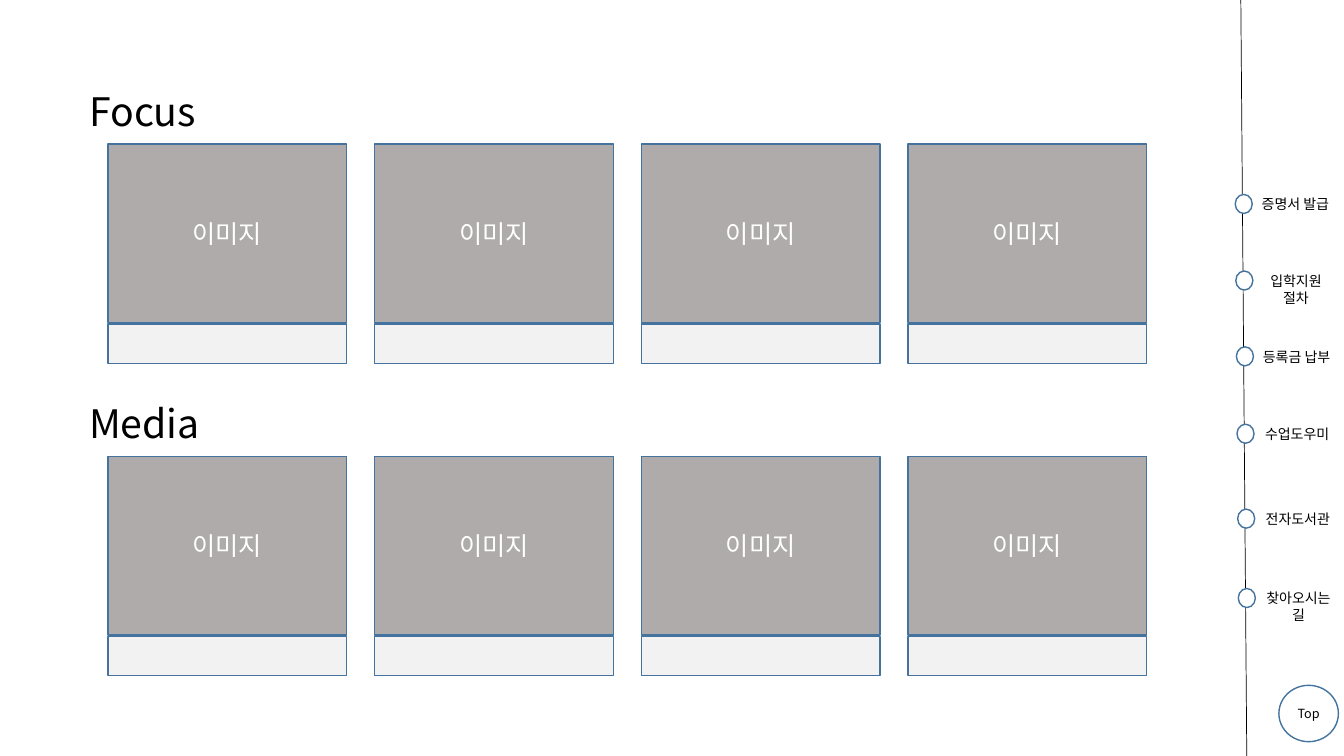
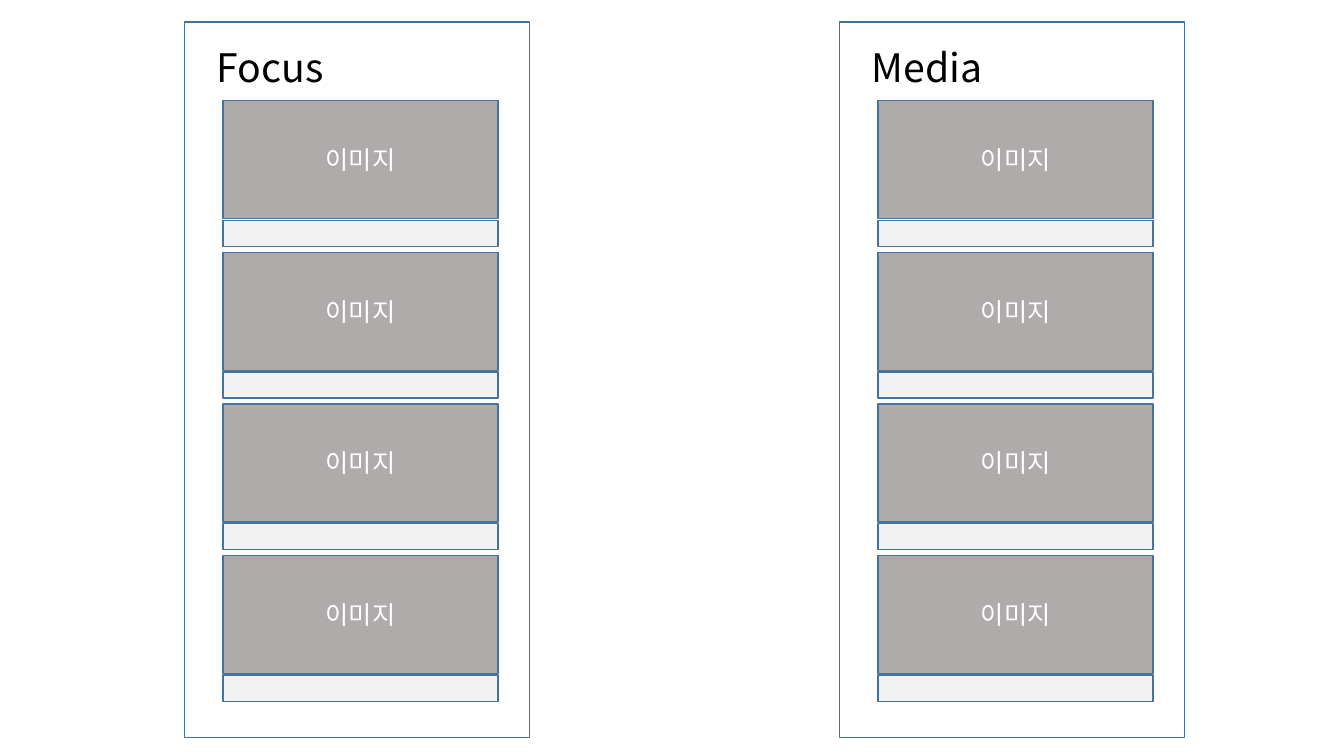
import pptx
import pptx.dml.color
import pptx.enum.shapes
import pptx.enum.text
import pptx.oxml
import pptx.oxml.ns
import pptx.util
import lxml.etree

Cm = pptx.util.Cm
Pt = pptx.util.Pt
SHAPE = pptx.enum.shapes.MSO_SHAPE
ALIGN = pptx.enum.text.PP_ALIGN
ANCHOR = pptx.enum.text.MSO_ANCHOR

# Shared style
FONT = "Noto Sans CJK KR"
COLORS = {"text": "000000", "light": "FFFFFF", "image": "AFABAB",
          "caption": "F2F2F2", "border": "43739E"}
HEADING = {"size": 28, "color": "text", "align": ALIGN.LEFT, "anchor": ANCHOR.TOP}
IMAGE_TEXT = {"size": 18, "color": "light"}
LABEL_TEXT = {"size": 10, "color": "text", "anchor": ANCHOR.TOP}
BUTTON_TEXT = {"size": 9, "color": "text", "margin": 0}
HEADING_HEIGHT = 1.45
CARD_COUNT = 4
CAPTION_GAP = 0.04
SECTIONS = ("Focus", "Media")
RAIL_ITEMS = (  # top of the marker, label lines
    (4.9, ["증명서 발급"]),
    (6.83, ["입학지원", "절차"]),
    (8.74, ["등록금 납부"]),
    (10.69, ["수업도우미"]),
    (12.83, ["전자도서관"]),
    (14.83, ["찾아오시는길"]),
)


def color(name):
    return pptx.dml.color.RGBColor.from_string(COLORS[name])


def write_text(shape, lines, size, color, align=ALIGN.CENTER,
               anchor=ANCHOR.MIDDLE, margin=0.25):
    """Put the lines in the shape, one paragraph each."""
    frame = shape.text_frame
    frame_format = {"word_wrap": True, "vertical_anchor": anchor,
                    "auto_size": pptx.enum.text.MSO_AUTO_SIZE.NONE,
                    "margin_left": Cm(margin), "margin_right": Cm(margin)}
    for name, value in frame_format.items():
        setattr(frame, name, value)
    frame.text = "\n".join(lines)
    for paragraph in frame.paragraphs:
        paragraph.alignment = align
        for run in paragraph.runs:
            font = run.font
            for name, value in {"name": FONT, "size": Pt(size)}.items():
                setattr(font, name, value)
            font.color.rgb = pptx.dml.color.RGBColor.from_string(COLORS[color])
            # Hangul takes the East Asian typeface
            east_asian = lxml.etree.SubElement(
                run.font._element, pptx.oxml.ns.qn("a:ea"))
            east_asian.set("typeface", FONT)


def add_box(slide, kind, left, top, width, height, fill="light"):
    shape = slide.shapes.add_shape(kind, Cm(left), Cm(top), Cm(width), Cm(height))
    shape.shadow.inherit = False
    shape.fill.solid()
    shape.fill.fore_color.rgb = color(fill)
    shape.line.color.rgb = color("border")
    shape.line.width = Pt(1)
    return shape


def add_heading(slide, text, left, top, width):
    """The first heading fills the title placeholder, later ones a text box."""
    box = {"left": Cm(left), "top": Cm(top),
           "width": Cm(width), "height": Cm(HEADING_HEIGHT)}
    heading = slide.shapes.title
    if heading.has_text_frame and heading.text_frame.text:
        heading = slide.shapes.add_textbox(*box.values())
    else:
        for name, value in box.items():
            setattr(heading, name, value)
        # Bring the title in front of its panel
        heading.element.getparent().append(heading.element)
    write_text(heading, [text], **HEADING)


def add_cards(slide, left, top, width, image_height, caption_height,
              step_x=0, step_y=0):
    """A row or column of image boxes with a caption strip below each."""
    for index in range(CARD_COUNT):
        card_left = left + index * step_x
        card_top = top + index * step_y
        image = add_box(slide, SHAPE.FLOWCHART_PROCESS, card_left, card_top,
                        width, image_height, "image")
        write_text(image, ["이미지"], **IMAGE_TEXT)
        add_box(slide, SHAPE.FLOWCHART_PROCESS, card_left,
                card_top + image_height + CAPTION_GAP,
                width, caption_height, "caption")


def add_row_section(slide, text, left, top):
    add_heading(slide, text, left, top, 8)
    add_cards(slide, left + 0.72, top + 1.57, 6.02, 4.5, 0.99, step_x=6.72)


def add_column_panel(slide, text, left, top):
    panel = add_box(slide, SHAPE.ROUNDED_RECTANGLE, left, top, 8.69, 18.03)
    panel.adjustments[0] = 0
    add_heading(slide, text, left + 0.56, top + 0.41, 7)
    add_cards(slide, left + 0.97, top + 1.98, 6.93, 2.97, 0.66, step_y=3.82)


def add_quick_rail(slide, left, height):
    """Slightly slanted line with menu markers and a button to the top."""
    slant = 0.15
    line = slide.shapes.add_connector(
        pptx.enum.shapes.MSO_CONNECTOR.STRAIGHT,
        Cm(left), Cm(0), Cm(left + slant), Cm(height))
    line.line.color.rgb = color("text")
    line.line.width = Pt(0.5)
    lxml.etree.SubElement(line.element.spPr, pptx.oxml.ns.qn("a:effectLst"))

    for top, lines in RAIL_ITEMS:
        marker_left = left + slant * top / height - 0.18
        add_box(slide, SHAPE.FLOWCHART_CONNECTOR, marker_left, top, 0.43, 0.48)
        label = slide.shapes.add_textbox(
            Cm(marker_left + 0.31), Cm(top - 0.09),
            Cm(2.41), Cm(0.26 + 0.43 * len(lines)))
        write_text(label, lines, **LABEL_TEXT)

    button = add_box(slide, SHAPE.FLOWCHART_CONNECTOR,
                     left + 0.96, height - 1.78, 1.5, 1.42)
    write_text(button, ["Top"], **BUTTON_TEXT)


def add_slide(presentation):
    return presentation.slides.add_slide(presentation.slide_layouts[5])


def main():
    presentation = pptx.Presentation()
    presentation.slide_width = Cm(33.87)
    presentation.slide_height = Cm(19.05)

    # Wide layout: sections as rows, quick menu on the right
    wide = add_slide(presentation)
    for index, text in enumerate(SECTIONS):
        add_row_section(wide, text, 2, 2.06 + index * 7.87)
    add_quick_rail(wide, 31.27, 19.05)

    # Narrow layout: sections as tall panels
    narrow = add_slide(presentation)
    for index, text in enumerate(SECTIONS):
        add_column_panel(narrow, text, 4.65 + index * 16.51, 0.56)

    presentation.save("out.pptx")


if __name__ == "__main__":
    main()
